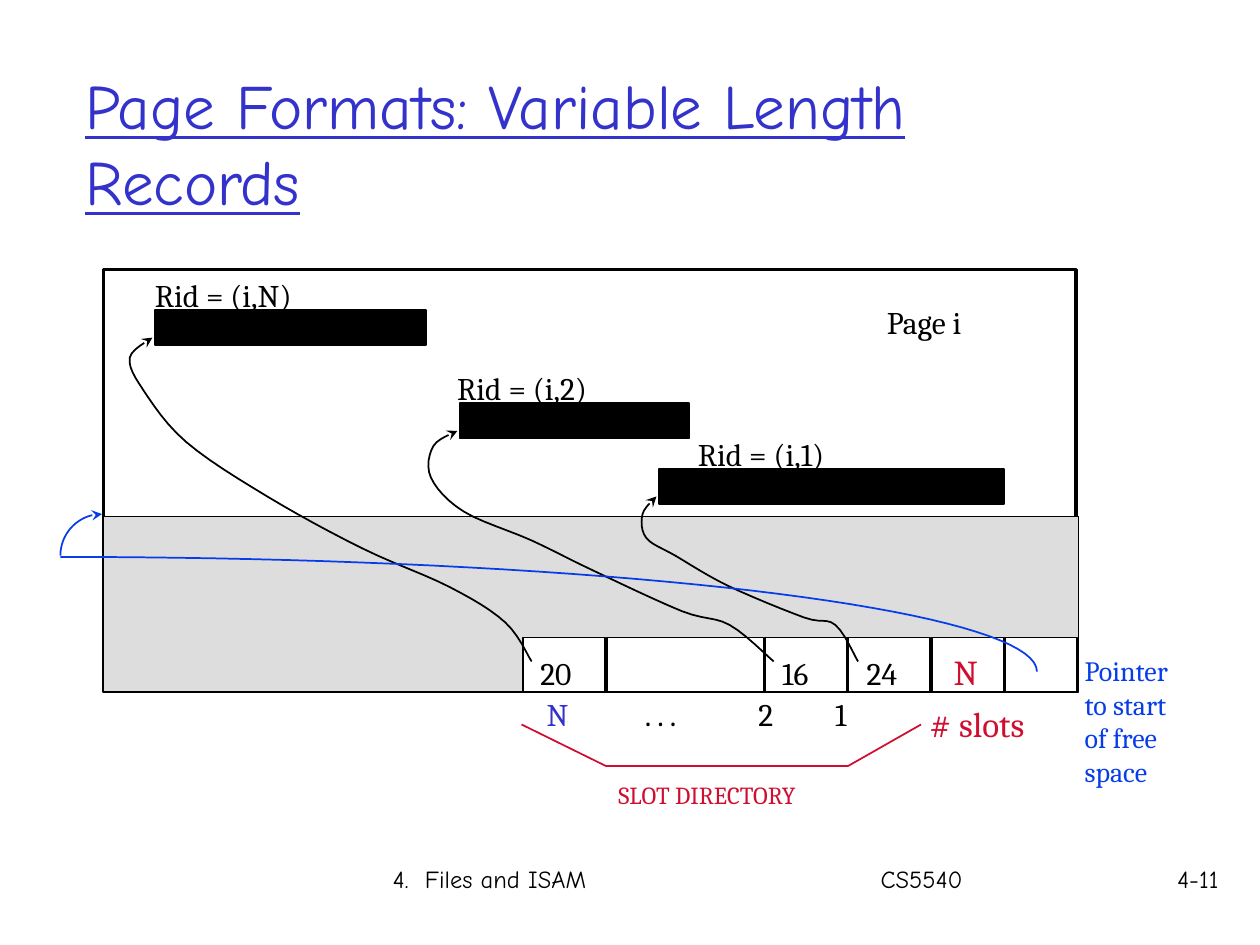
from math import cos, pi, sin

from lxml.etree import SubElement
from pptx import Presentation
from pptx.dml.color import RGBColor
from pptx.enum.shapes import MSO_CONNECTOR as Connector, MSO_SHAPE as Shape
from pptx.enum.text import MSO_ANCHOR as Anchor, MSO_AUTO_SIZE as AutoSize, PP_ALIGN as Align
from pptx.oxml.ns import qn
from pptx.util import Inches, Pt

BLACK = RGBColor(0x00, 0x00, 0x00)
WHITE = RGBColor(0xFF, 0xFF, 0xFF)
GRAY = RGBColor(0xDD, 0xDD, 0xDD)
INDIGO = RGBColor(0x33, 0x33, 0xCC)
BLUE = RGBColor(0x06, 0x3D, 0xE8)
RED = RGBColor(0xCF, 0x0E, 0x30)

PAGE_LEFT, PAGE_TOP = 0.82, 2.14
FREE_SPACE_TOP, FREE_SPACE_HEIGHT = 4.1, 1.39
SLOT_TOP, SLOT_HEIGHT = 5.06, 0.43
OFFSET_TOP = 5.14
RECORD_HEIGHT = 0.28
LABEL_RISE, LABEL_HEIGHT = 0.32, 0.4
FOOTER_TOP, FOOTER_HEIGHT = 6.81, 0.5

SLOTS = [(4.15, 0.65), (4.82, 1.24), (6.07, 0.65), (6.73, 0.65), (7.4, 0.57), (7.98, 0.57)]
BRACKET = [(4.14, 5.75), (4.81, 6.08), (6.73, 6.08), (7.31, 5.75)]

RECORDS = [
    {
        "rid": "Rid = (i,N)", "label_left": 1.13, "left": 1.23, "top": 2.46, "width": 2.15,
        "offset": "20", "offset_left": 4.19,
        "bends": [(4.01, 4.94), (3.57, 4.66), (2.87, 4.35), (2.12, 3.94),
                  (1.48, 3.51), (1.14, 3.1), (1.03, 2.84)],
    },
    {
        "rid": "Rid = (i,2)", "label_left": 3.53, "left": 3.65, "top": 3.2, "width": 1.82,
        "offset": "16", "offset_left": 6.11,
        "bends": [(5.79, 4.96), (5.41, 4.85), (4.69, 4.52), (4.22, 4.29),
                  (3.68, 4.06), (3.42, 3.79), (3.44, 3.54)],
    },
    {
        "rid": "Rid = (i,1)", "label_left": 5.44, "left": 5.23, "top": 3.72, "width": 2.74,
        "offset": "24", "offset_left": 6.78,
        "bends": [(6.63, 4.96), (6.38, 4.9), (5.78, 4.65), (5.36, 4.41),
                  (5.13, 4.27), (5.1, 4.08)],
    },
]


def quarter_ellipse(center_x, center_y, radius_x, radius_y, start, steps=40):
    angles = [start + pi / 2 * step / steps for step in range(steps + 1)]
    return [(center_x + radius_x * cos(a), center_y + radius_y * sin(a)) for a in angles]


def spline_value(before, start, end, after, t):
    return (2 * start + (end - before) * t
            + (2 * before - 5 * start + 4 * end - after) * t ** 2
            + (3 * start - before - 3 * end + after) * t ** 3) / 2


def smooth_path(bends, steps=6):
    padded = [bends[0], *bends, bends[-1]]
    path = [bends[0]]
    for stretch in zip(padded, padded[1:], padded[2:], padded[3:]):
        xs, ys = zip(*stretch)
        for step in range(1, steps + 1):
            t = step / steps
            path.append((spline_value(*xs, t), spline_value(*ys, t)))
    return path


class PageDiagram:
    body_font = "Cambria"
    frame_font = "Comic Neue"

    def __init__(self, slide):
        self.slide = slide

    def style(self, run, size, color, font=None):
        run.font.name = font or self.body_font
        run.font.size = Pt(size)
        run.font.color.rgb = color

    def text(self, words, left, top, width, height, size=18, color=BLACK, font=None, wrap=False):
        box = self.slide.shapes.add_textbox(Inches(left), Inches(top), Inches(width), Inches(height))
        frame = box.text_frame
        frame.word_wrap = wrap
        frame.auto_size = AutoSize.NONE if wrap else AutoSize.SHAPE_TO_FIT_TEXT
        frame.text = words
        for paragraph in frame.paragraphs:
            for run in paragraph.runs:
                self.style(run, size, color, font)
        return frame

    def frame_text(self, words, left, top, width, height, size=14, color=BLACK):
        return self.text(words, left, top, width, height, size, color, self.frame_font, True)

    def tab_stops(self, paragraph, positions):
        stops = SubElement(paragraph._p.get_or_add_pPr(), qn("a:tabLst"))
        for position in positions:
            SubElement(stops, qn("a:tab"), pos=str(Inches(position)), algn="l")

    def outline(self, area, fill, color, weight=1):
        area.shadow.inherit = False
        if fill is None:
            area.fill.background()
        else:
            area.fill.solid()
            area.fill.fore_color.rgb = fill
        area.line.color.rgb = color
        area.line.width = Pt(weight)

    def rect(self, left, top, width, height, fill=None, weight=1):
        area = self.slide.shapes.add_shape(
            Shape.RECTANGLE, Inches(left), Inches(top), Inches(width), Inches(height))
        self.outline(area, fill, BLACK, weight)

    def line(self, start, end, color):
        stroke = self.slide.shapes.add_connector(
            Connector.STRAIGHT, *[Inches(value) for value in start + end])
        stroke.line.color.rgb = color
        stroke.line.width = Pt(1)
        SubElement(stroke._element.spPr, qn("a:effectLst"))

    def curve(self, points, color=BLACK, arrow=True):
        start, *rest = [(Inches(x), Inches(y)) for x, y in points]
        builder = self.slide.shapes.build_freeform(*start)
        builder.add_line_segments(rest, close=False)
        trace = builder.convert_to_shape()
        self.outline(trace, None, color)
        if arrow:
            SubElement(trace.line._get_or_add_ln(), qn("a:tailEnd"), type="stealth")

    def record(self, left, top, width, rid, label_left):
        self.rect(left, top, width, RECORD_HEIGHT, BLACK)
        self.text(rid, label_left, top - LABEL_RISE, 1.35, LABEL_HEIGHT)

    def slot_pointer(self, offset, offset_left, bends, record_left, record_top):
        slot_end = (offset_left + 0.03, OFFSET_TOP + 0.11)
        record_end = (record_left - 0.02, record_top + 0.22)
        self.curve(smooth_path([slot_end, *bends, record_end]))
        self.text(offset, offset_left, OFFSET_TOP, 0.48, LABEL_HEIGHT)


def draw_frame(page):
    title = page.frame_text(
        "Page Formats: Variable Length Records", 0.58, 0.51, 8.5, 1.24, 36, INDIGO)
    title.vertical_anchor = Anchor.MIDDLE
    title.paragraphs[0].runs[0].font.underline = True
    footer = page.frame_text(
        "4.  Files and ISAM\tCS5540", 3.02, FOOTER_TOP, 5.99, FOOTER_HEIGHT)
    page.tab_stops(footer.paragraphs[0], [3.87])
    number = page.frame_text("4-11", 9.03, FOOTER_TOP, 0.74, FOOTER_HEIGHT)
    number.paragraphs[0].alignment = Align.RIGHT


def draw_data_page(page):
    page.rect(PAGE_LEFT, PAGE_TOP, 7.72, 3.31, weight=2)
    page.text("Page i", 6.94, 2.36, 0.9, LABEL_HEIGHT)
    page.rect(PAGE_LEFT, FREE_SPACE_TOP, 7.74, FREE_SPACE_HEIGHT, GRAY)
    for left, width in SLOTS:
        page.rect(left, SLOT_TOP, width, SLOT_HEIGHT, WHITE)
    for item in RECORDS:
        page.record(item["left"], item["top"], item["width"], item["rid"], item["label_left"])
    for item in RECORDS:
        page.slot_pointer(
            item["offset"], item["offset_left"], item["bends"], item["left"], item["top"])


def draw_slot_directory(page):
    slot_numbers = page.text("N", 4.24, 5.47, 3.07, 0.4, color=INDIGO, wrap=True).paragraphs[0]
    page.tab_stops(slot_numbers, [0.78, 1.68, 2.29])
    lower_numbers = slot_numbers.add_run()
    lower_numbers.text = "\t. . .\t2\t1"
    page.style(lower_numbers, 18, BLACK)
    for start, end in zip(BRACKET, BRACKET[1:]):
        page.line(start, end, RED)
    page.text("SLOT DIRECTORY", 4.81, 6.14, 1.84, 0.33, 14, RED)
    page.text("N", 7.47, 5.11, 0.41, 0.43, 20, RED)
    page.text("# slots", 7.28, 5.53, 1.02, 0.43, 20, RED)


def draw_free_space_pointer(page):
    page.curve(quarter_ellipse(0.81, 4.41, 0.33, 0.33, pi), BLUE)
    page.curve(quarter_ellipse(0.48, 5.33, 7.75, 0.91, -pi / 2), BLUE, arrow=False)
    page.text("Pointer\nto start\nof free\nspace", 8.51, OFFSET_TOP, 0.98, 1.16, 16, BLUE)


def main():
    deck = Presentation()
    deck.slide_width, deck.slide_height = Inches(10), Inches(7.5)
    page = PageDiagram(deck.slides.add_slide(deck.slide_layouts[6]))
    for draw in (draw_frame, draw_data_page, draw_slot_directory, draw_free_space_pointer):
        draw(page)
    deck.save("out.pptx")


if __name__ == "__main__":
    main()
